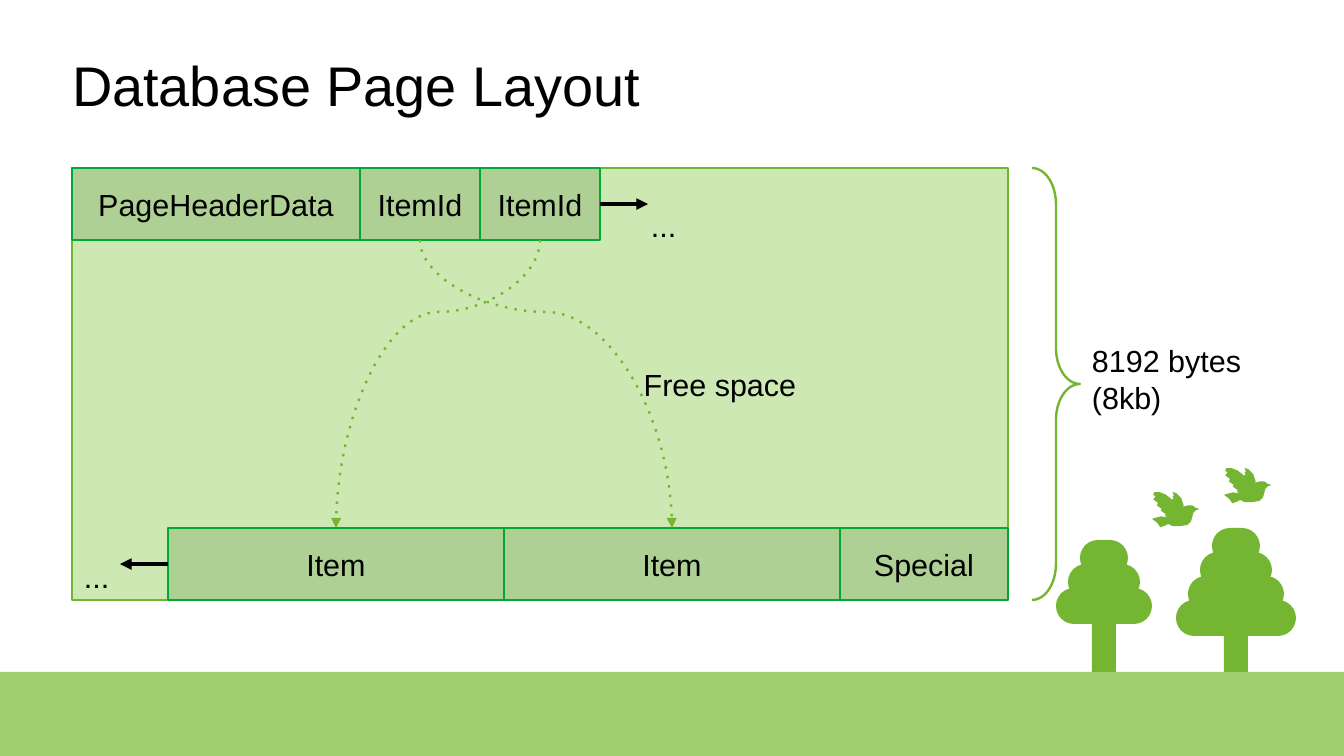
import dataclasses
import pptx
import pptx.dml.color
import pptx.enum.shapes
import pptx.enum.text
import pptx.oxml
import pptx.oxml.ns
import pptx.util

UNIT = pptx.util.Cm(0.25)
COLS, ROWS = 112, 63
SHAPE = pptx.enum.shapes.MSO_SHAPE
LINK = pptx.enum.shapes.MSO_CONNECTOR
ALIGN = pptx.enum.text.PP_ALIGN
ANCHOR = pptx.enum.text.MSO_ANCHOR
BODY = [(29, 11), (26, 12), (24, 15), (19, 10), (15, 5), (11, 2), (6, 0), (2, 0),
        (1, 2), (3, 4), (1, 6), (5, 9), (4, 11), (8, 14), (7, 15), (11, 18),
        (11, 20), (14, 21), (7, 20), (0, 22), (4, 25), (7, 29), (12, 27), (13, 26),
        (17, 28), (23, 28), (29, 27), (32, 24), (34, 17), (36, 15), (39, 14),
        (36, 13), (33, 11)]
WING = [(24, 5), (20, 1), (17, 0), (18, 3), (17, 4), (18, 6), (16, 6), (18, 11),
        (20, 15), (25, 17), (26, 11)]


@dataclasses.dataclass(frozen=True)
class Theme:
    ink: str = "000000"
    leaf: str = "74B531"
    grass: str = "9ECF6C"
    free: str = "CDE8B3"
    cell: str = "AFD095"
    edge: str = "00A933"
    font: str = "Arial"
    title: float = 33
    text: float = 18
    thin: float = 1.42
    thick: float = 2.3


THEME = Theme()


@dataclasses.dataclass(frozen=True)
class Box:
    """A rectangle in grid columns and rows."""
    x: float
    y: float
    w: float
    h: float

    def inner(self, x, y, w, h):
        """Return a box whose offset is counted from this one."""
        return Box(self.x + x, self.y + y, w, h)

    def place(self):
        return [grid(n) for n in (self.x, self.y, self.w, self.h)]


def grid(count):
    return round(count * UNIT)


def tint(hue):
    return pptx.dml.color.RGBColor.from_string(hue)


def style(shape, fill=None, line=None):
    shape.shadow.inherit = False
    if fill:
        shape.fill.solid()
        shape.fill.fore_color.rgb = tint(fill)
    else:
        shape.fill.background()
    if line:
        shape.line.color.rgb = tint(line)
        shape.line.width = pptx.util.Pt(THEME.thin)
    else:
        shape.line.fill.background()
    return shape


def draw(slide, kind, box, fill=None, line=None):
    return style(slide.shapes.add_shape(kind, *box.place()), fill, line)


def write(frame, lines, size, align=ALIGN.LEFT):
    for i, line in enumerate(lines):
        para = frame.add_paragraph() if i else frame.paragraphs[0]
        para.alignment = align
        run = para.add_run()
        run.text = line
        run.font.name = THEME.font
        run.font.size = pptx.util.Pt(size)
        run.font.color.rgb = tint(THEME.ink)


def label(slide, box, lines, align=ALIGN.LEFT):
    frame = slide.shapes.add_textbox(*box.place()).text_frame
    frame.word_wrap = True
    write(frame, lines, THEME.text, align)


def cell(slide, box, name):
    shape = draw(slide, SHAPE.RECTANGLE, box, THEME.cell, THEME.edge)
    frame = shape.text_frame
    frame.word_wrap = False
    frame.vertical_anchor = ANCHOR.MIDDLE
    write(frame, [name], THEME.text, ALIGN.CENTER)
    return shape


def finish(link, hue, width, dash=None):
    """Give a connector its line, arrowhead and empty effect list."""
    link.line.color.rgb = tint(hue)
    link.line.width = pptx.util.Pt(width)
    props = link.element.spPr
    line = props.find(pptx.oxml.ns.qn("a:ln"))
    space = pptx.oxml.ns.nsdecls("a")
    if dash:
        line.append(pptx.oxml.parse_xml(f'<a:prstDash {space} val="{dash}"/>'))
    line.append(pptx.oxml.parse_xml(f'<a:tailEnd {space} type="triangle"/>'))
    props.append(pptx.oxml.parse_xml(f"<a:effectLst {space}/>"))


def arrow(slide, shape, side, reach):
    """Point sideways from the middle of one side of a shape."""
    x = shape.left + (shape.width if side == 3 else 0)
    y = shape.top + shape.height // 2
    link = slide.shapes.add_connector(LINK.STRAIGHT, x, y, x + grid(reach), y)
    link.begin_connect(shape, side)
    finish(link, THEME.ink, THEME.thick)


def curve(slide, start, end):
    """Lead from the bottom of one shape to the top of another."""
    x, y = start.left + start.width // 2, start.top + start.height
    run, drop = end.left + end.width // 2 - x, end.top - y
    mid, half = x + run // 2, y + drop // 2
    ends = [mid - drop // 2, mid + drop // 2]
    if run > 0:
        ends.reverse()
    top = half - abs(run) // 2
    link = slide.shapes.add_connector(LINK.CURVE, ends[0], top, ends[1], top + abs(run))
    link.rotation = 270 if run > 0 else 90
    bend = link.element.spPr.find(pptx.oxml.ns.qn("a:prstGeom"))
    for old in list(bend):
        bend.remove(old)
    space = pptx.oxml.ns.nsdecls("a")
    bend.append(pptx.oxml.parse_xml(
        f'<a:avLst {space}><a:gd name="adj1" fmla="val 25000"/></a:avLst>'))
    finish(link, THEME.leaf, THEME.thin, "dot")


def tree(slide, box, tiers):
    """Stack rounded tiers, each two columns narrower, on a trunk."""
    draw(slide, SHAPE.RECTANGLE, box.inner(box.w / 2 - 1, box.h - 10, 2, 10), THEME.leaf)
    for i in range(tiers):
        spot = box.inner(i, 2 * (tiers - 1 - i), box.w - 2 * i, 3)
        crown = draw(slide, SHAPE.ROUNDED_RECTANGLE, spot, THEME.leaf)
        crown.adjustments[0] = 0.5


def bird(slide, box):
    x, y = box.place()[:2]
    for points in (WING, BODY):
        pen = slide.shapes.build_freeform(*points[0], scale=pptx.util.Inches(0.01))
        pen.add_line_segments(points[1:], close=True)
        style(pen.convert_to_shape(x, y), THEME.leaf)


def scene(slide, box):
    draw(slide, SHAPE.RECTANGLE, box.inner(0, box.h - 7, box.w, 7), THEME.grass)
    tree(slide, box.inner(98, 44, 10, 12), 4)
    tree(slide, box.inner(88, 45, 8, 11), 3)
    for x, y in ((96, 41), (102, 39)):
        bird(slide, box.inner(x, y, 4, 3))


def head(slide, box):
    title = slide.shapes.title
    title.left, title.top, title.width, title.height = box.place()
    frame = title.text_frame
    frame.margin_left = frame.margin_right = frame.margin_top = frame.margin_bottom = 0
    frame.auto_size = pptx.enum.text.MSO_AUTO_SIZE.NONE
    frame.vertical_anchor = ANCHOR.MIDDLE
    write(frame, ["Database Page Layout"], THEME.title)


def band(slide, box, items):
    """Fill a band from left to right with named cells of given widths."""
    cells, x = [], 0
    for name, width in items:
        cells.append(cell(slide, box.inner(x, 0, width, box.h), name))
        x += width
    return cells


def page(slide, box):
    draw(slide, SHAPE.RECTANGLE, box, THEME.free, THEME.leaf)
    top = band(slide, box.inner(0, 0, 44, 6),
               [("PageHeaderData", 24), ("ItemId", 10), ("ItemId", 10)])
    low = band(slide, box.inner(8, box.h - 6, 70, 6),
               [("Item", 28), ("Item", 28), ("Special", 14)])
    arrow(slide, top[2], 3, 4)
    arrow(slide, low[0], 1, -4)
    label(slide, box.inner(47.25, 2.75, 6, 4), ["..."])
    label(slide, box.inner(0, 32, 6, 4), ["..."])
    label(slide, box.inner(44, 16, 20, 4), ["Free space"], ALIGN.CENTER)
    curve(slide, top[1], low[1])
    curve(slide, top[2], low[0])


def extent(slide, box):
    brace = draw(slide, SHAPE.RIGHT_BRACE, box.inner(0, 0, 4, box.h), line=THEME.leaf)
    brace.adjustments[0] = 0.75
    label(slide, box.inner(4, box.h / 2 - 4, box.w - 4, 8), ["8192 bytes", "(8kb)"])


def main():
    deck = pptx.Presentation()
    deck.slide_width, deck.slide_height = grid(COLS), grid(ROWS)
    slide = deck.slides.add_slide(deck.slide_layouts[5])
    scene(slide, Box(0, 0, COLS, ROWS))
    head(slide, Box(6, 2, 100, 10))
    page(slide, Box(6, 14, 78, 36))
    extent(slide, Box(86, 14, 24, 36))
    deck.save("out.pptx")


if __name__ == "__main__":
    main()
